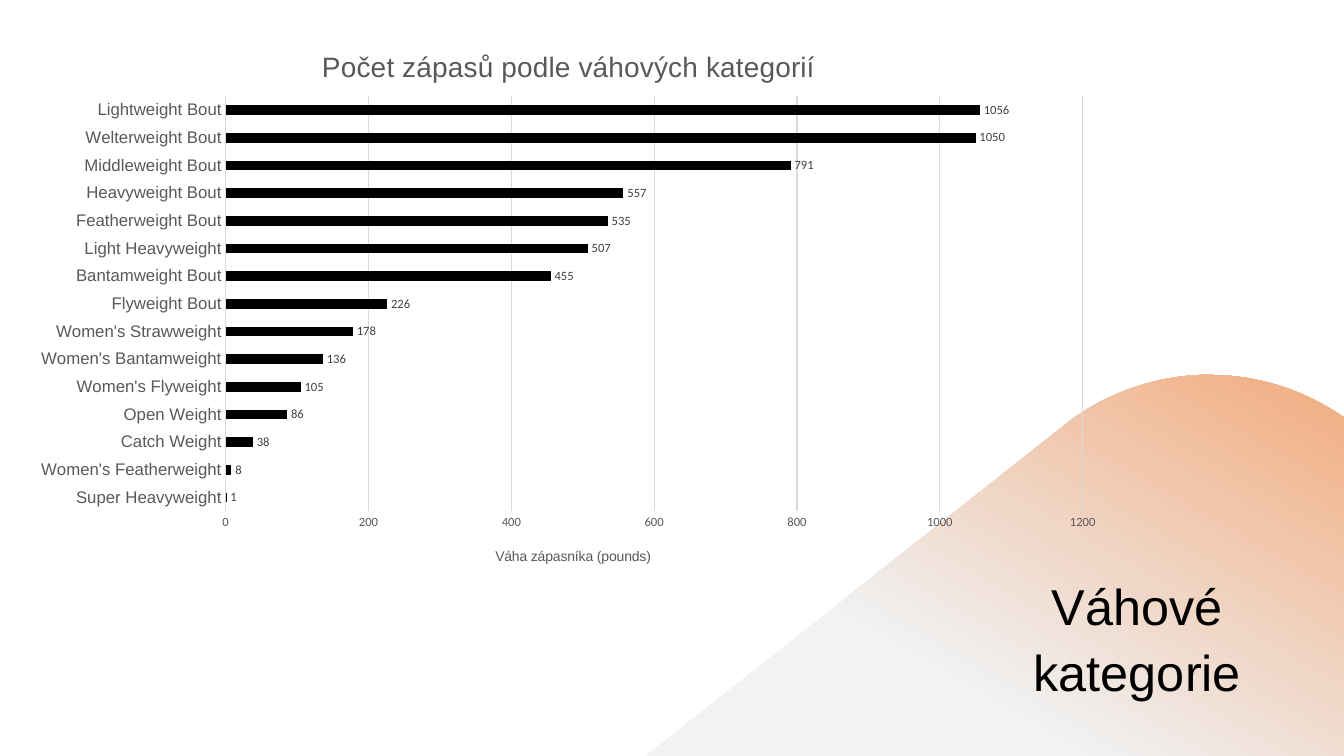
from dataclasses import dataclass
from typing import NamedTuple

from lxml import etree
from pptx import Presentation
from pptx.chart.data import CategoryChartData
from pptx.dml.color import RGBColor
from pptx.enum.chart import XL_CHART_TYPE, XL_LABEL_POSITION, XL_TICK_MARK
from pptx.enum.text import MSO_ANCHOR, PP_ALIGN
from pptx.oxml.ns import qn
from pptx.util import Cm, Pt

BAR_CLUSTERED = XL_CHART_TYPE.BAR_CLUSTERED
OUTSIDE_END = XL_LABEL_POSITION.OUTSIDE_END
NO_TICKS = XL_TICK_MARK.NONE
CENTER = PP_ALIGN.CENTER
MIDDLE = MSO_ANCHOR.MIDDLE


@dataclass(frozen=True)
class Theme:
    black: RGBColor = RGBColor(0x00, 0x00, 0x00)
    label: RGBColor = RGBColor(0x40, 0x40, 0x40)
    muted: RGBColor = RGBColor(0x59, 0x59, 0x59)
    grid: RGBColor = RGBColor(0xD9, 0xD9, 0xD9)
    mist: RGBColor = RGBColor(0xF0, 0xF2, 0xF3)
    peach: RGBColor = RGBColor(0xF1, 0xAC, 0x7F)
    heading_font: str = "Arial"
    number_font: str = "Calibri"
    heading_size: int = 36
    chart_title_size: int = 20
    category_size: int = 12
    axis_title_size: int = 10
    number_size: int = 9


class Point(NamedTuple):
    x: float
    y: float


class Curve(NamedTuple):
    start: Point
    control_1: Point
    control_2: Point
    end: Point


class Bout(NamedTuple):
    category: str
    count: int


THEME = Theme()

# Bouts per weight class, from the bottom bar up
BOUTS = [
    Bout("Super Heavyweight", 1),
    Bout("Women's Featherweight", 8),
    Bout("Catch Weight", 38),
    Bout("Open Weight", 86),
    Bout("Women's Flyweight", 105),
    Bout("Women's Bantamweight", 136),
    Bout("Women's Strawweight", 178),
    Bout("Flyweight Bout", 226),
    Bout("Bantamweight Bout", 455),
    Bout("Light Heavyweight", 507),
    Bout("Featherweight Bout", 535),
    Bout("Heavyweight Bout", 557),
    Bout("Middleweight Bout", 791),
    Bout("Welterweight Bout", 1050),
    Bout("Lightweight Bout", 1056),
]

# Hill outline in centimetres
HILL_BASE = [Point(33.87, 19.05), Point(16.26, 19.05), Point(26.95, 10.62)]
HILL_TOP = [
    Curve(Point(27.05, 10.54), Point(28.02, 9.86), Point(29.13, 9.5), Point(30.23, 9.45)),
    Curve(Point(30.23, 9.45), Point(30.35, 9.45), Point(30.45, 9.45), Point(30.58, 9.45)),
    Curve(Point(30.58, 9.45), Point(31.7, 9.47), Point(32.82, 9.8), Point(33.87, 10.52)),
]


def curve_points(curve: Curve, steps: int = 24) -> list[Point]:
    """Sample a cubic curve evenly."""
    points = []
    for step in range(steps + 1):
        t = step / steps
        weights = ((1 - t) ** 3, 3 * t * (1 - t) ** 2, 3 * t * t * (1 - t), t ** 3)
        points.append(Point(sum(w * p.x for w, p in zip(weights, curve)),
                            sum(w * p.y for w, p in zip(weights, curve))))
    return points


def set_font(font, name: str, size: int, color: RGBColor) -> None:
    font.name = name
    font.size = Pt(size)
    font.bold = False
    font.color.rgb = color


def set_layout(element, index: int, **settings: str | float) -> None:
    """Give a chart part a manual place, in fractions of the chart."""
    for previous in element.findall(qn("c:layout")):
        element.remove(previous)
    layout = etree.Element(qn("c:layout"))
    manual = etree.SubElement(layout, qn("c:manualLayout"))
    for key, value in settings.items():
        etree.SubElement(manual, qn(f"c:{key}")).set("val", str(value))
    element.insert(index, layout)


def no_fill_properties():
    properties = etree.Element(qn("c:spPr"))
    etree.SubElement(properties, qn("a:noFill"))
    line = etree.SubElement(properties, qn("a:ln"))
    etree.SubElement(line, qn("a:noFill"))
    return properties


def set_title(title, text: str, size: int, x: float, y: float) -> None:
    title.text_frame.text = text
    set_font(title.text_frame.paragraphs[0].font, THEME.heading_font, size, THEME.muted)
    set_layout(title._element, 1, xMode="edge", yMode="edge", x=x, y=y)


def add_hill(slide) -> None:
    outline = HILL_BASE + [point for curve in HILL_TOP for point in curve_points(curve)]
    corners = [(Cm(point.x), Cm(point.y)) for point in outline]
    builder = slide.shapes.build_freeform(*corners[0])
    builder.add_line_segments(corners[1:], close=True)
    hill = builder.convert_to_shape()
    hill.shadow.inherit = False
    hill.line.fill.background()
    hill.fill.gradient()
    hill.fill.gradient_angle = 60
    stops = [(0.32, THEME.mist), (1.0, THEME.peach)]
    for stop, (position, color) in zip(hill.fill.gradient_stops, stops):
        stop.position = position
        stop.color.rgb = color


def add_heading(slide) -> None:
    box = slide.shapes.add_textbox(Cm(24.26), Cm(14.25), Cm(8.81), Cm(3.51))
    frame = box.text_frame
    frame.word_wrap = True
    frame.vertical_anchor = MIDDLE
    paragraph = frame.paragraphs[0]
    paragraph.text = "Váhové kategorie"
    paragraph.alignment = CENTER
    paragraph.line_spacing = 1.1
    paragraph.space_after = Pt(6)
    set_font(paragraph.font, THEME.heading_font, THEME.heading_size, THEME.black)


def add_bout_chart(slide) -> None:
    data = CategoryChartData()
    data.categories = [bout.category for bout in BOUTS]
    data.add_series("Series 1", [bout.count for bout in BOUTS])
    chart = slide.shapes.add_chart(
        BAR_CLUSTERED, Cm(0.51), Cm(0.69), Cm(27.69), Cm(14.02), data).chart
    chart.has_legend = False
    set_font(chart.font, THEME.number_font, THEME.axis_title_size, THEME.black)
    set_title(chart.chart_title, "Počet zápasů podle váhových kategorií",
              THEME.chart_title_size, 0.27, 0.03)

    # Bars and value labels
    plot = chart.plots[0]
    plot.gap_width = 182
    plot.vary_by_categories = False
    bars = plot.series[0].format
    bars.fill.solid()
    bars.fill.fore_color.rgb = THEME.black
    plot.has_data_labels = True
    labels = plot.data_labels
    labels.show_value = True
    labels.position = OUTSIDE_END
    set_font(labels.font, THEME.number_font, THEME.number_size, THEME.label)

    # Axes
    categories, values = chart.category_axis, chart.value_axis
    for axis in (categories, values):
        axis.major_tick_mark = axis.minor_tick_mark = NO_TICKS
    set_font(categories.tick_labels.font, THEME.heading_font, THEME.category_size, THEME.muted)
    set_font(values.tick_labels.font, THEME.number_font, THEME.number_size, THEME.muted)
    values.minimum_scale, values.maximum_scale, values.major_unit = 0, 1200, 200
    values.has_major_gridlines = True
    values.format.line.fill.background()
    for line in (categories.format.line, values.major_gridlines.format.line):
        line.color.rgb = THEME.grid
        line.width = Pt(0.75)
    set_title(values.axis_title, "Váha zápasníka (pounds)", THEME.axis_title_size, 0.43, 0.93)

    # Plot position and transparent backgrounds
    space = chart._chartSpace
    plot_area = space.chart.plotArea
    set_layout(plot_area, 0, layoutTarget="inner", xMode="edge", yMode="edge",
               x=0.187, y=0.124, w=0.78, h=0.746)
    plot_area.append(no_fill_properties())
    space.chart.addnext(no_fill_properties())


def main() -> None:
    presentation = Presentation()
    presentation.slide_width = Cm(33.87)
    presentation.slide_height = Cm(19.05)
    slide = presentation.slides.add_slide(presentation.slide_layouts[6])
    add_hill(slide)
    add_heading(slide)
    add_bout_chart(slide)
    presentation.save("out.pptx")


if __name__ == "__main__":
    main()
